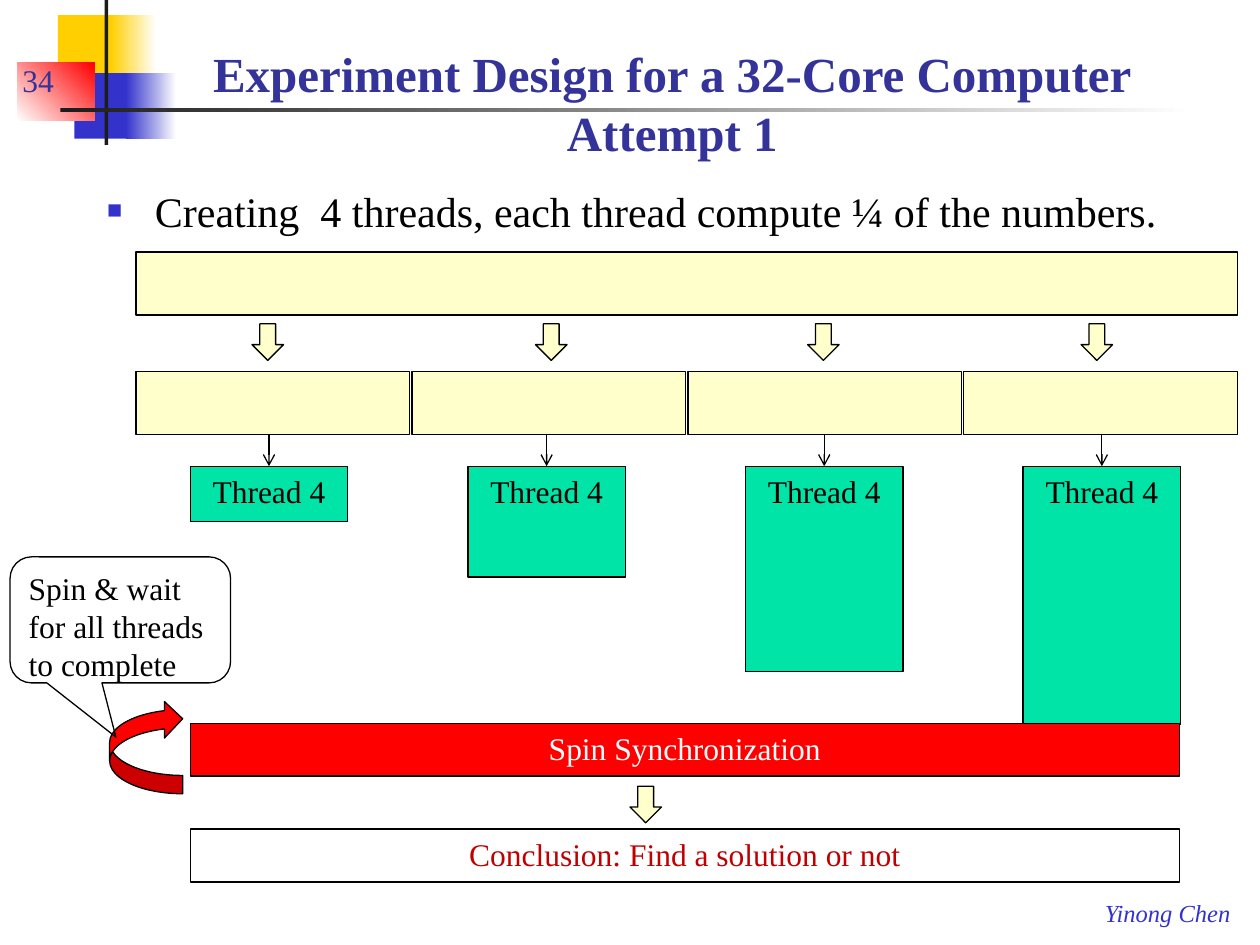
import pptx
import pptx.util
import pptx.dml.color
import pptx.enum.dml
import pptx.enum.shapes
import pptx.enum.text
import pptx.oxml
import pptx.oxml.ns

Inches = pptx.util.Inches
RGBColor = pptx.dml.color.RGBColor
SHAPE = pptx.enum.shapes.MSO_SHAPE
ALIGN = pptx.enum.text.PP_ALIGN
ANCHOR = pptx.enum.text.MSO_ANCHOR

BLACK = RGBColor(0, 0, 0)
WHITE = RGBColor(0xFF, 0xFF, 0xFF)
CHARCOAL = RGBColor(0x1C, 0x1C, 0x1C)
YELLOW = RGBColor(0xFF, 0xCF, 0x01)
BLUE = RGBColor(0x33, 0x33, 0xCC)
NAVY = RGBColor(0x33, 0x33, 0x99)
RED = RGBColor(0xFF, 0, 0)
DARK_RED = RGBColor(0xC0, 0, 0)
CREAM = RGBColor(0xFF, 0xFF, 0xCC)
GREEN = RGBColor(0, 0xE4, 0xA8)

TITLE = {"size": 28, "bold": True, "color": NAVY}
BULLET = {"size": 24, "color": BLACK}
LABEL = {"size": 18, "color": BLACK}
NUMBER = {"size": 18, "color": NAVY}
AUTHOR = {"size": 14, "italic": True, "color": BLUE}


def drawing_element(tag, attributes=""):
    return pptx.oxml.parse_xml(f"<{tag} {pptx.oxml.ns.nsdecls('a')} {attributes}/>")


def write(shape, text, style, align=ALIGN.LEFT, anchor=ANCHOR.TOP, wrap=True):
    frame = shape.text_frame
    frame.text = text
    settings = {"word_wrap": wrap, "vertical_anchor": anchor,
                "auto_size": pptx.enum.text.MSO_AUTO_SIZE.NONE}
    for name, value in settings.items():
        setattr(frame, name, value)
    paragraph = frame.paragraphs[0]
    paragraph.alignment = align
    paragraph.space_before = pptx.util.Pt(0)
    for run in paragraph.runs:
        run.font.name = "Times New Roman"
        for name, value in style.items():
            if name == "color":
                run.font.color.rgb = value
            else:
                setattr(run.font, name, pptx.util.Pt(value) if name == "size" else value)
    return paragraph


def place(shape, box):
    for name, value in zip(("left", "top", "width", "height"), box):
        setattr(shape, name, Inches(value))


def add_block(slide, box, fill, kind=SHAPE.RECTANGLE, outlined=True):
    block = slide.shapes.add_shape(kind, *map(Inches, box))
    block.shadow.inherit = False
    if fill is None:
        block.fill.background()
    else:
        block.fill.solid()
        block.fill.fore_color.rgb = fill
    if outlined:
        block.line.color.rgb = BLACK
        block.line.width = pptx.util.Pt(0.75)
    else:
        block.line.fill.background()
    return block


def add_fade(slide, box, start, end, angle=0):
    fade = add_block(slide, box, start, outlined=False)
    fade.fill.gradient()
    fade.fill.gradient_angle = angle
    for stop, color in zip(fade.fill.gradient_stops, (start, end)):
        stop.color.rgb = color


def add_down_arrow(slide, left, top):
    add_block(slide, (left, top, 0.25, 0.29), CREAM, SHAPE.DOWN_ARROW)


def add_flow_line(slide, x, top, bottom):
    line = slide.shapes.add_connector(
        pptx.enum.shapes.MSO_CONNECTOR.STRAIGHT, *map(Inches, (x, top, x, bottom)))
    line.line.color.rgb = BLACK
    line.line.width = pptx.util.Pt(0.75)
    properties = line._element.spPr
    properties.find(pptx.oxml.ns.qn("a:ln")).append(drawing_element("a:tailEnd", 'type="arrow"'))
    properties.append(drawing_element("a:effectLst"))


def add_corner_ornament(slide, box):
    left, top, width, height = box
    add_block(slide, (left + 0.32, top + 0.12, 0.48, 0.52), YELLOW, outlined=False)
    add_fade(slide, (left + 0.74, top + 0.12, 0.36, 0.52), YELLOW, WHITE)
    add_block(slide, (left + 0.45, top + 0.58, 0.46, 0.52), BLUE, outlined=False)
    add_fade(slide, (left + 0.86, top + 0.58, 0.4, 0.52), BLUE, WHITE)
    add_fade(slide, (left, top + 0.5, 0.61, 0.46), WHITE, RED, 45)
    add_block(slide, (left + 0.69, top, 0.03, height), CHARCOAL, outlined=False)
    add_fade(slide, (left + 0.34, top + 0.86, width - 0.34, 0.03), CHARCOAL, WHITE)


def add_title(slide, box):
    title = slide.shapes.title
    place(title, box)
    write(title, "Experiment Design for a 32-Core Computer\vAttempt 1", TITLE,
          ALIGN.CENTER, ANCHOR.BOTTOM)


def add_body(slide, box):
    body = slide.placeholders[1]
    place(body, box)
    paragraph = write(body, "Creating  4 threads, each thread compute ¼ of the numbers.", BULLET)
    properties = paragraph._p.get_or_add_pPr()
    properties.set("marL", str(Inches(0.38)))
    properties.set("indent", str(Inches(-0.38)))
    bullet_color = drawing_element("a:buClr")
    bullet_color.append(drawing_element("a:srgbClr", f'val="{BLUE}"'))
    properties.append(bullet_color)
    for tag, attributes in (("a:buSzPct", 'val="60000"'),
                            ("a:buFont", 'typeface="Times New Roman"'),
                            ("a:buChar", 'char="■"')):
        properties.append(drawing_element(tag, attributes))


def add_caption(slide, box, text, style, **layout):
    write(slide.shapes.add_textbox(*map(Inches, box)), text, style, **layout)


def add_number_split(slide, box):
    left, top, width, height = box
    part_width = 2.17
    pitch = (width - part_width) / 3
    add_block(slide, (left, top, width, 0.5), CREAM)
    for arrow_left in (2, 4.25, 6.41, 8.58):
        add_down_arrow(slide, arrow_left, top + 0.57)
    for part in range(4):
        add_block(slide, (left + part * pitch, top + height - 0.5, part_width, 0.5), CREAM)


def add_threads(slide, box):
    left, top, width, height = box
    thread_width, line_length = 1.25, 0.25
    pitch = (width - thread_width) / 3
    for index, duration in enumerate((0.44, 0.88, 1.63, height - line_length)):
        x = left + index * pitch
        thread = add_block(slide, (x, top + line_length, thread_width, duration), GREEN)
        write(thread, "Thread 4", LABEL, ALIGN.CENTER)
        add_flow_line(slide, x + thread_width / 2, top, top + line_length)


def add_outcome(slide, box):
    left, top, width, height = box
    bar_height = 0.42
    for offset, fill, text, color in (
            (0, RED, "Spin Synchronization", WHITE),
            (height - bar_height, WHITE, "Conclusion: Find a solution or not", DARK_RED)):
        bar = add_block(slide, (left, top + offset, width, bar_height), fill)
        write(bar, text, {**LABEL, "color": color}, ALIGN.CENTER)
    add_down_arrow(slide, 5, top + 0.5)


def add_spin_note(slide, box):
    left, top, width, height = box
    spin = add_block(slide, (left + 0.79, top + height - 0.74, 0.58, 0.74), RED,
                     SHAPE.CURVED_RIGHT_ARROW)
    spin._element.spPr.find(pptx.oxml.ns.qn("a:xfrm")).set("flipV", "1")
    callout = add_block(slide, (left, top, width, 1), None, SHAPE.ROUNDED_RECTANGULAR_CALLOUT)
    for index, value in enumerate((-0.02, 0.93, 0.17)):
        callout.adjustments[index] = value
    write(callout, "Spin & wait for all threads to complete", LABEL)


def main():
    deck = pptx.Presentation()
    deck.slide_width, deck.slide_height = Inches(10), Inches(7.5)
    slide = deck.slides.add_slide(deck.slide_layouts[1])
    add_corner_ornament(slide, (0.14, 0, 9.34, 1.15))
    add_caption(slide, (8.67, 7.08, 1.2, 0.34), "Yinong Chen", AUTHOR, wrap=False)
    add_title(slide, (0.75, 0.33, 9.17, 1))
    add_body(slide, (0.75, 1.42, 9.04, 1.33))
    add_caption(slide, (0.08, 0.33, 0.85, 0.5), "34", NUMBER, anchor=ANCHOR.BOTTOM)
    add_number_split(slide, (1.08, 2, 8.74, 1.45))
    add_threads(slide, (1.51, 3.45, 7.86, 2.3))
    add_outcome(slide, (1.51, 5.74, 7.85, 1.26))
    add_spin_note(slide, (0.08, 4.42, 1.75, 1.88))
    deck.save("out.pptx")


if __name__ == "__main__":
    main()
